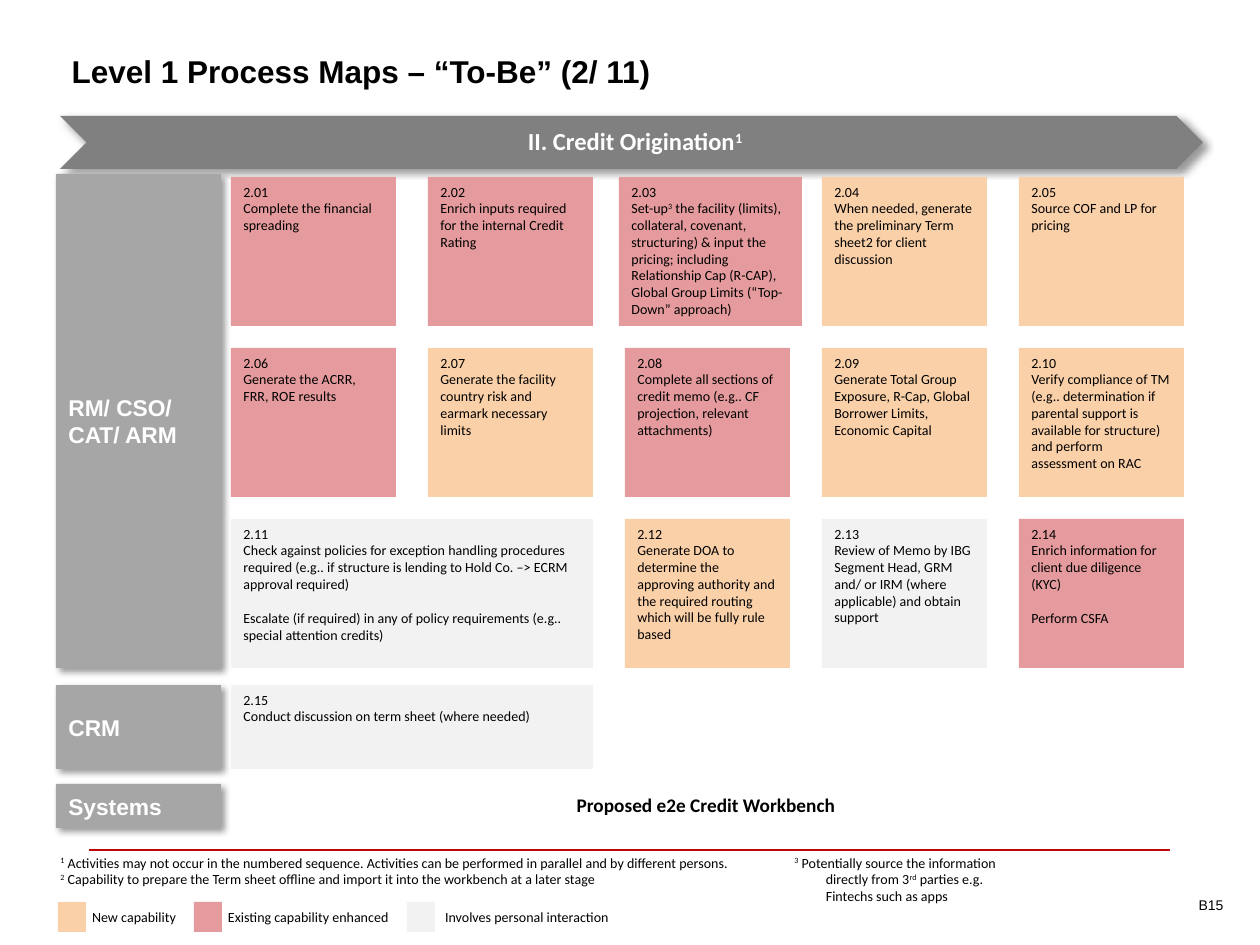
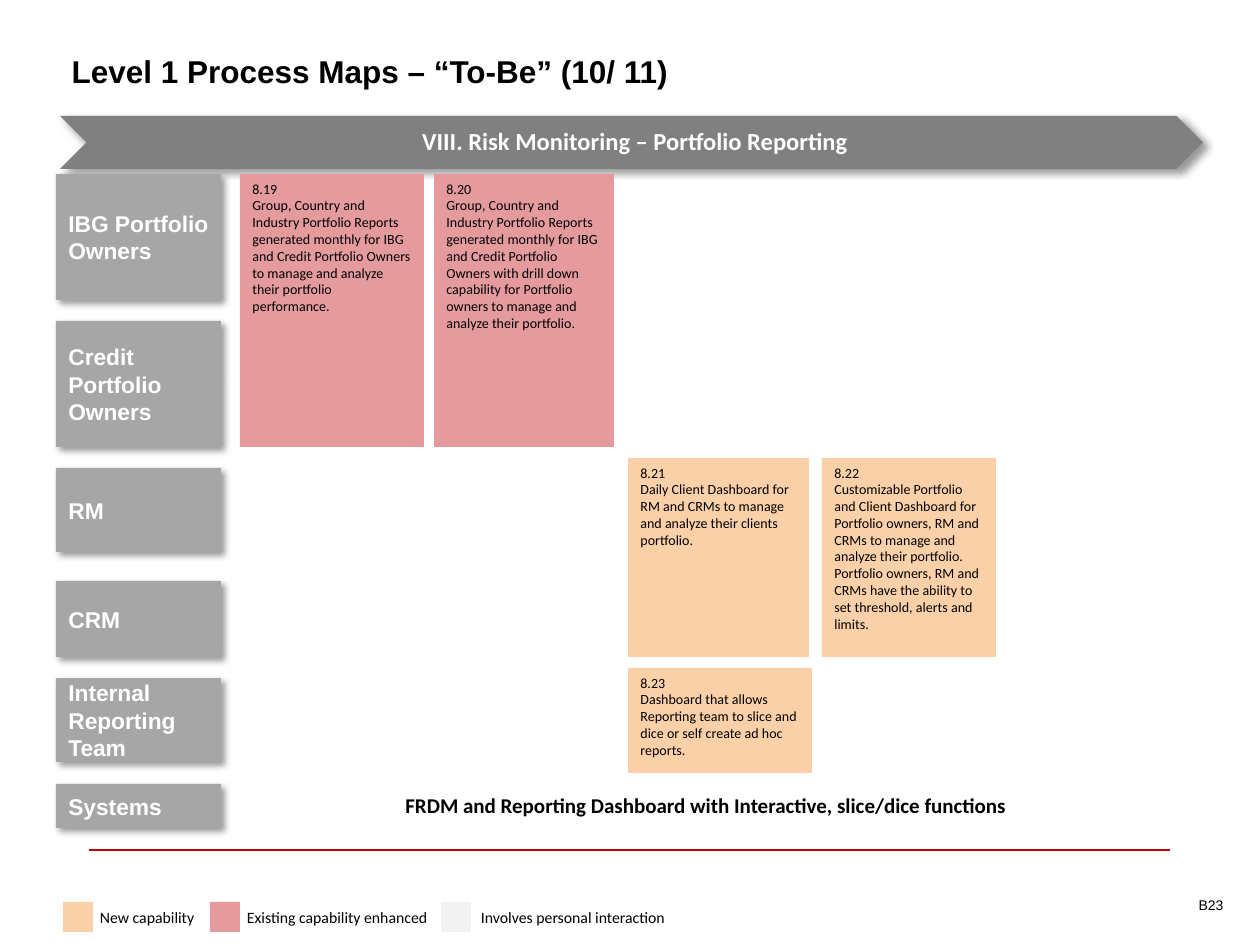
from dataclasses import dataclass

from lxml import etree
from pptx import Presentation
from pptx.dml.color import RGBColor
from pptx.enum.shapes import MSO_CONNECTOR, MSO_SHAPE
from pptx.enum.text import MSO_ANCHOR as Anchor, PP_ALIGN as Align
from pptx.oxml import parse_xml
from pptx.oxml.ns import nsdecls, qn
from pptx.util import Inches, Pt

SCALE = Inches(1) / 126


@dataclass(frozen=True)
class Theme:
    black: str = "000000"
    white: str = "FFFFFF"
    banner: str = "808080"
    lane: str = "A6A6A6"
    rule: str = "BE050A"
    new: str = "FAD0A9"
    enhanced: str = "E59B9D"
    personal: str = "F2F2F2"
    heading_font: str = "Arial"
    body_font: str = "Calibri"
    title_size: int = 18
    banner_size: int = 14
    lane_size: int = 13
    body_size: int = 8
    line_gap: float = 9.8


theme = Theme()


def add_box(slide, box, fill=None, preset=MSO_SHAPE.RECTANGLE, shadow=False):
    position = [round(value * SCALE) for value in box]
    if fill is None:
        return slide.shapes.add_textbox(*position)
    shape = slide.shapes.add_shape(preset, *position)
    shape.fill.solid()
    shape.fill.fore_color.rgb = RGBColor.from_string(fill)
    shape.line.fill.background()
    shape.shadow.inherit = False
    if shadow:
        shape._element.spPr.find(qn("a:effectLst")).append(parse_xml(
            f'<a:outerShdw {nsdecls("a")} blurRad="{Pt(4)}" dist="{Pt(3)}" dir="2700000" '
            'algn="tl" rotWithShape="0"><a:srgbClr val="000000"><a:alpha val="40000"/>'
            '</a:srgbClr></a:outerShdw>'))
    return shape


def write(shape, texts, size=theme.body_size, font=theme.body_font, color=theme.black,
          bold=False, align=Align.LEFT, anchor=Anchor.TOP, margins=None, hanging=False):
    frame = shape.text_frame
    frame.word_wrap = True
    frame.vertical_anchor = anchor
    if margins:
        (frame.margin_left, frame.margin_top,
         frame.margin_right, frame.margin_bottom) = [Inches(value) for value in margins]
    for index, text in enumerate(texts):
        paragraph = frame.add_paragraph() if index else frame.paragraphs[0]
        paragraph.alignment = align
        paragraph.font.size = Pt(size)
        paragraph.font.name = font
        paragraph.font.bold = bold
        paragraph.font.color.rgb = RGBColor.from_string(color)
        if index > 1:
            paragraph.space_before = Pt(theme.line_gap)
        if hanging:
            properties = paragraph._p.get_or_add_pPr()
            properties.set("marL", str(Inches(0.25)))
            properties.set("indent", str(-Inches(0.25)))
        for part, words in enumerate(text.split("^")):
            if words:
                run = paragraph.add_run()
                run.text = words
                if part % 2:
                    run._r.get_or_add_rPr().set("baseline", "30000")


NEW, ENHANCED, PERSONAL = theme.new, theme.enhanced, theme.personal

origination_steps = [
    (0, 0, 1, ENHANCED, ["Complete the financial spreading"]),
    (1, 0, 1, ENHANCED, ["Enrich inputs required for the internal Credit Rating"]),
    (2, 0, 1, ENHANCED, ["Set-up^3^ the facility (limits), collateral, covenant, structuring) & input "
                         "the pricing; including Relationship Cap (R-CAP), Global Group Limits "
                         "(“Top-Down” approach)"]),
    (3, 0, 1, NEW, ["When needed, generate the preliminary Term sheet2 for client discussion"]),
    (4, 0, 1, NEW, ["Source COF and LP for pricing"]),
    (0, 1, 1, ENHANCED, ["Generate the ACRR, FRR, ROE results"]),
    (1, 1, 1, NEW, ["Generate the facility country risk and earmark necessary limits"]),
    (2, 1, 1, ENHANCED, ["Complete all sections of credit memo (e.g.. CF projection, relevant "
                         "attachments)"]),
    (3, 1, 1, NEW, ["Generate Total Group Exposure, R-Cap, Global Borrower Limits, Economic Capital"]),
    (4, 1, 1, NEW, ["Verify compliance of TM (e.g.. determination if parental support is available "
                    "for structure) and perform assessment on RAC"]),
    (0, 2, 2, PERSONAL, ["Check against policies for exception handling procedures required (e.g.. if "
                         "structure is lending to Hold Co. –> ECRM approval required)",
                         "Escalate (if required) in any of policy requirements (e.g.. special "
                         "attention credits)"]),
    (2, 2, 1, NEW, ["Generate DOA to determine the approving authority and the required routing which "
                    "will be fully rule based"]),
    (3, 2, 1, PERSONAL, ["Review of Memo by IBG Segment Head, GRM and/ or IRM (where applicable) and "
                         "obtain support"]),
    (4, 2, 1, ENHANCED, ["Enrich information for client due diligence (KYC)", "Perform CSFA"]),
]
origination_boxes = []
for step, (column, row, span, fill, texts) in enumerate(origination_steps, 1):
    box = (231 + 197 * column, 177 + 171 * row, 165 + 197 * (span - 1), 149)
    if step == 3:
        box = (619, 177, 183, 149)
    origination_boxes.append((box, fill, [f"2.{step:02}", *texts]))
origination_boxes.append(((231, 685, 362, 84), PERSONAL,
                          ["2.15", "Conduct discussion on term sheet (where needed)"]))

reporting_boxes = [
    ((240, 174, 184, 273), ENHANCED, [
        "8.19", "Group, Country and Industry Portfolio Reports generated monthly for IBG and Credit "
        "Portfolio Owners to manage and analyze their portfolio performance."]),
    ((434, 174, 180, 273), ENHANCED, [
        "8.20", "Group, Country and Industry Portfolio Reports generated monthly for IBG and Credit "
        "Portfolio Owners with drill down capability for Portfolio owners to manage and analyze "
        "their portfolio."]),
    ((628, 458, 181, 199), NEW, [
        "8.21", "Daily Client Dashboard for RM and CRMs to manage and analyze their clients portfolio."]),
    ((822, 458, 174, 199), NEW, [
        "8.22", "Customizable Portfolio and Client Dashboard for Portfolio owners, RM and CRMs to "
        "manage and analyze their portfolio. Portfolio owners, RM and CRMs have the ability to set "
        "threshold, alerts and limits."]),
    ((628, 668, 184, 105), NEW, [
        "8.23", "Dashboard that allows Reporting team to slice and dice or self create ad hoc reports."]),
]

process_maps = [
    dict(
        title="Level 1 Process Maps – “To-Be” (2/ 11)", page="B15",
        banner="II. Credit Origination^1^",
        lanes=[("RM/ CSO/ CAT/ ARM", 174, 494), ("CRM", 685, 84)],
        activities=origination_boxes,
        system="Proposed e2e Credit Workbench", system_size=11,
        footnotes=[
            ((48, 848, 732, 47), [
                "^1^ Activities may not occur in the numbered sequence. Activities can be performed "
                "in parallel and by different persons.",
                "^2^ Capability to prepare the Term sheet offline and import it into the workbench "
                "at a later stage"]),
            ((782, 848, 252, 63), [
                "^3^ Potentially source the information directly from 3^rd^ parties e.g. Fintechs "
                "such as apps"]),
        ],
        legend_size=8, swatch=28, legend=[(58, 92, 94), (194, 228, 170), (407, 445, 183)],
    ),
    dict(
        title="Level 1 Process Maps – “To-Be” (10/ 11)", page="B23",
        banner="VIII. Risk Monitoring – Portfolio Reporting",
        lanes=[("IBG Portfolio Owners", 174, 126), ("Credit Portfolio Owners", 321, 126),
               ("RM", 468, 84), ("CRM", 581, 76), ("Internal Reporting Team", 678, 84)],
        activities=reporting_boxes,
        system="FRDM and Reporting Dashboard with Interactive, slice/dice functions", system_size=12,
        footnotes=[],
        legend_size=9, swatch=30, legend=[(63, 100, 100), (210, 247, 184), (441, 481, 198)],
    ),
]
legend_keys = [("New capability", NEW), ("Existing capability enhanced", ENHANCED),
               ("Involves personal interaction", PERSONAL)]

presentation = Presentation()
presentation.slide_width = Inches(10)
presentation.slide_height = Inches(7.5)

for process in process_maps:
    slide = presentation.slides.add_slide(presentation.slide_layouts[5])
    title = slide.shapes.title
    title.left, title.top, title.width, title.height = [
        round(value * SCALE) for value in (59, 30, 1143, 82)]
    write(title, [process["title"]], theme.title_size, theme.heading_font, bold=True,
          anchor=Anchor.MIDDLE)

    rule = slide.shapes.add_connector(
        MSO_CONNECTOR.STRAIGHT, *[round(value * SCALE) for value in (89, 850, 1170, 850)])
    rule.line.color.rgb = RGBColor.from_string(theme.rule)
    rule.line.width = Pt(1.5)
    etree.SubElement(rule._element.spPr, qn("a:effectLst"))

    add_box(slide, (60, 116, 1143, 53), theme.banner, MSO_SHAPE.CHEVRON, shadow=True)
    banner = add_box(slide, (87, 116, 1091, 53))
    write(banner, [process["banner"]], theme.banner_size, color=theme.white, bold=True,
          align=Align.CENTER, anchor=Anchor.MIDDLE, margins=(0.06, 0.02, 0.02, 0.02))
    banner.text_frame.paragraphs[0].line_spacing = 0.9

    for name, top, height in [*process["lanes"], ("Systems", 784, 44)]:
        lane = add_box(slide, (56, top, 165, height), theme.lane, shadow=True)
        write(lane, [name], theme.lane_size, theme.heading_font, theme.white, bold=True,
              anchor=Anchor.MIDDLE)

    system = add_box(slide, (231, 784, 950, 44))
    write(system, [process["system"]], process["system_size"], bold=True, align=Align.CENTER,
          anchor=Anchor.MIDDLE, margins=(0.1, 0.03, 0.1, 0.05))

    for box, fill, texts in process["activities"]:
        write(add_box(slide, box, fill), texts)

    for box, notes in process["footnotes"]:
        write(add_box(slide, box), notes, hanging=True)

    for (label, fill), (left, label_left, label_width) in zip(legend_keys, process["legend"]):
        add_box(slide, (left, 902, process["swatch"], 30), fill)
        write(add_box(slide, (label_left, 902, label_width, 31)), [label],
              process["legend_size"], margins=(0, 0.05, 0, 0.05))

    page = add_box(slide, (1088, 878, 148, 53))
    write(page, [process["page"]], font=theme.heading_font, align=Align.RIGHT, anchor=Anchor.MIDDLE)

presentation.save("out.pptx")
